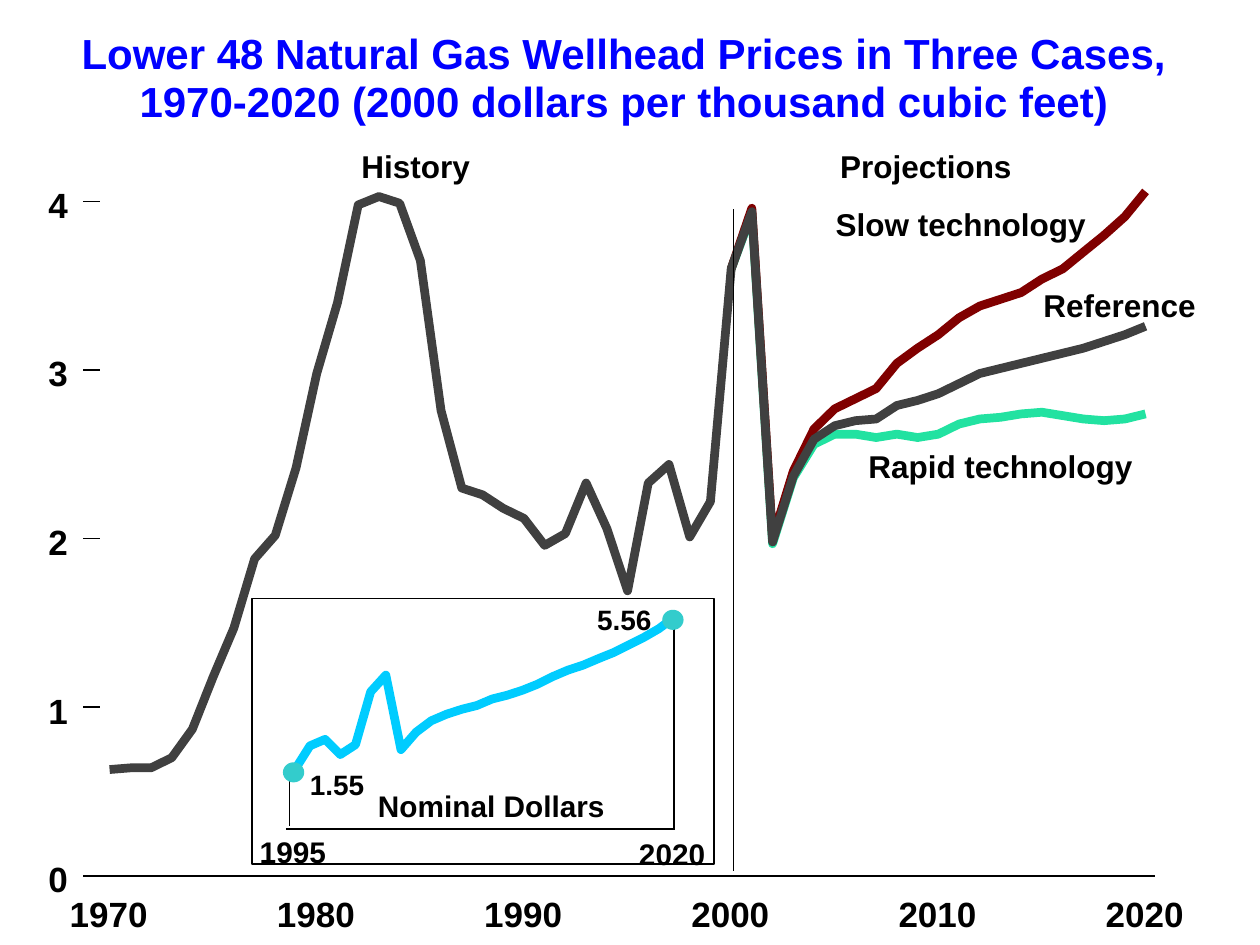
from lxml.etree import SubElement
from pptx import Presentation
from pptx.dml.color import RGBColor
from pptx.enum.shapes import MSO_CONNECTOR, MSO_SHAPE
from pptx.enum.text import MSO_AUTO_SIZE, PP_ALIGN
from pptx.oxml.ns import qn
from pptx.util import Pt

BLACK = RGBColor(0, 0, 0)
BLUE = RGBColor(0, 0, 0xFF)
GRAY = RGBColor(0x40, 0x40, 0x40)
MAROON = RGBColor(0x80, 0, 0)
GREEN = RGBColor(0x22, 0xE2, 0xA1)
SKY = RGBColor(0, 0xCC, 0xFF)
TEAL = RGBColor(0x33, 0xCC, 0xCC)

TITLE = ["Lower 48 Natural Gas Wellhead Prices in Three Cases,",
         "1970-2020 (2000 dollars per thousand cubic feet)"]

# Prices per year: (first year, colour, values), back to front
RAPID = (2000, GREEN, [
    3.60, 3.93, 1.97, 2.36, 2.56, 2.62, 2.62, 2.60, 2.62, 2.60, 2.62,
    2.68, 2.71, 2.72, 2.74, 2.75, 2.73, 2.71, 2.70, 2.71, 2.74])
SLOW = (2000, MAROON, [
    3.60, 3.96, 2.00, 2.40, 2.65, 2.77, 2.83, 2.89, 3.04, 3.13, 3.21,
    3.31, 3.38, 3.42, 3.46, 3.54, 3.60, 3.70, 3.80, 3.91, 4.06])
REFERENCE = (1970, GRAY, [
    0.63, 0.64, 0.64, 0.70, 0.87, 1.18, 1.47, 1.88, 2.02, 2.42,
    2.98, 3.40, 3.98, 4.03, 3.99, 3.65, 2.76, 2.30, 2.26, 2.18,
    2.12, 1.96, 2.03, 2.33, 2.06, 1.69, 2.33, 2.44, 2.01, 2.22,
    3.60, 3.94, 1.98, 2.37, 2.59, 2.67, 2.70, 2.71, 2.79, 2.82,
    2.86, 2.92, 2.98, 3.01, 3.04, 3.07, 3.10, 3.13, 3.17, 3.21, 3.26])
NOMINAL = [
    1.55, 2.18, 2.35, 1.95, 2.21, 3.60, 4.04, 2.08, 2.54, 2.84, 3.01, 3.14, 3.24,
    3.41, 3.51, 3.64, 3.80, 4.00, 4.17, 4.30, 4.47, 4.63, 4.83, 5.03, 5.26, 5.56]

# Labels: (text, left, top, width, height, size, optional line spacing)
CASE_LABELS = [
    ("Slow technology", 476.4, 117.4, 145.3, 21.6, 18),
    ("Reference", 595.2, 163.4, 89.1, 21.6, 18),
    ("Rapid technology", 495.1, 255.6, 153.2, 21.6, 18),
    ("History", 205.1, 84.2, 64.9, 21.6, 18),
    ("Projections", 478.7, 84.2, 100.9, 21.6, 18),
]
INSET_LABELS = [
    ("1995", 147.3, 476.6, 40.2, 20.2, 17),
    ("2020", 364, 477.4, 40.2, 20.2, 17),
    ("1.55", 175.6, 438.5, 34, 19.4, 16),
    ("5.56", 339.8, 344.2, 34, 19.4, 16),
    ("Nominal Dollars", 214, 452.2, 133.6, 18.7, 17, 0.9),
]

# Scales in points
YEAR_LEFT, YEAR_STEP = 62.64, 11.84
AXIS_Y, PRICE_STEP = 500.4, 96.3
TICK_LEFT, AXIS_LEFT, AXIS_RIGHT = 47.5, 56.9, 660.2
INSET_LEFT, INSET_STEP = 168.5, 8.67
INSET_BASE, INSET_PRICE_STEP = 439.9, 21.73


def main_point(year, price):
    return YEAR_LEFT + (year - 1970) * YEAR_STEP, AXIS_Y - price * PRICE_STEP


def inset_point(year, price):
    return (INSET_LEFT + (year - 1995) * INSET_STEP,
            INSET_BASE - (price - NOMINAL[0]) * INSET_PRICE_STEP)


def add_curve(shapes, points, color):
    corners = [(Pt(x), Pt(y)) for x, y in points]
    builder = shapes.build_freeform(*corners[0])
    builder.add_line_segments(corners[1:], close=False)
    curve = builder.convert_to_shape()
    curve.shadow.inherit = False
    curve.fill.background()
    curve.line.color.rgb = color
    curve.line.width = Pt(5)


def add_rule(shapes, x1, y1, x2, y2, width):
    rule = shapes.add_connector(MSO_CONNECTOR.STRAIGHT, Pt(x1), Pt(y1), Pt(x2), Pt(y2))
    rule.line.color.rgb = BLACK
    rule.line.width = Pt(width)
    SubElement(rule._element.spPr, qn("a:effectLst"))


def add_label(shapes, text, left, top, width, height, size,
              spacing=None, color=BLACK, align=PP_ALIGN.CENTER):
    frame = shapes.add_textbox(Pt(left), Pt(top), Pt(width), Pt(height)).text_frame
    frame.margin_left = frame.margin_right = frame.margin_top = frame.margin_bottom = 0
    frame.word_wrap = False
    frame.auto_size = MSO_AUTO_SIZE.SHAPE_TO_FIT_TEXT
    frame.text = text
    for paragraph in frame.paragraphs:
        paragraph.alignment = align
        paragraph.line_spacing = spacing
        for run in paragraph.runs:
            run.font.name = "Arial"
            run.font.size = Pt(size)
            run.font.bold = True
            run.font.color.rgb = color


prs = Presentation()
prs.slide_width, prs.slide_height = Pt(720), Pt(540)
slide = prs.slides.add_slide(prs.slide_layouts[6])
shapes = slide.shapes

# Price curves
for first_year, color, prices in (RAPID, SLOW, REFERENCE):
    add_curve(shapes, [main_point(first_year + i, p) for i, p in enumerate(prices)], color)

# Axes with their ticks and labels
add_rule(shapes, AXIS_LEFT, AXIS_Y, AXIS_RIGHT, AXIS_Y, 1)
for price in range(5):
    y = main_point(1970, price)[1]
    add_rule(shapes, TICK_LEFT, y, AXIS_LEFT, y, 1)
    add_label(shapes, str(price), 26.4, y - 10.4, 12.4, 24, 20, align=PP_ALIGN.RIGHT)
for year in range(1970, 2021, 10):
    add_label(shapes, str(year), main_point(year, 0)[0] - 23.8, 509.8, 46.6, 24, 20)

# Case labels, title and the line between history and projections
for label in CASE_LABELS:
    add_label(shapes, *label)
add_label(shapes, "\n".join(TITLE), 44.5, 18, 624, 54.7, 24, spacing=0.95, color=BLUE)
add_rule(shapes, 419, 119.5, 419, 497.5, 0.75)

# Inset: nominal dollars
inset = shapes.add_group_shape().shapes
add_rule(inset, 165.6, 444.2, 165.6, 472.3, 0.75)
border = inset.add_shape(MSO_SHAPE.RECTANGLE, Pt(144), Pt(342), Pt(264.2), Pt(151.9))
border.shadow.inherit = False
border.fill.background()
border.line.color.rgb = BLACK
border.line.width = Pt(1)
add_curve(inset, [inset_point(1995 + i, p) for i, p in enumerate(NOMINAL)], SKY)
for label in INSET_LABELS:
    add_label(inset, *label)
add_rule(inset, 385.2, 352.1, 385.2, 473, 0.75)
for year, price in ((2020, NOMINAL[-1]), (1995, NOMINAL[0])):
    x, y = inset_point(year, price)
    marker = inset.add_shape(MSO_SHAPE.OVAL, Pt(x - 6.8), Pt(y - 4.3), Pt(12.2), Pt(11.5))
    marker.shadow.inherit = False
    marker.fill.solid()
    marker.fill.fore_color.rgb = TEAL
    marker.line.fill.background()
add_rule(inset, 163.4, 473.8, 385.9, 473.8, 0.75)

prs.save("out.pptx")
